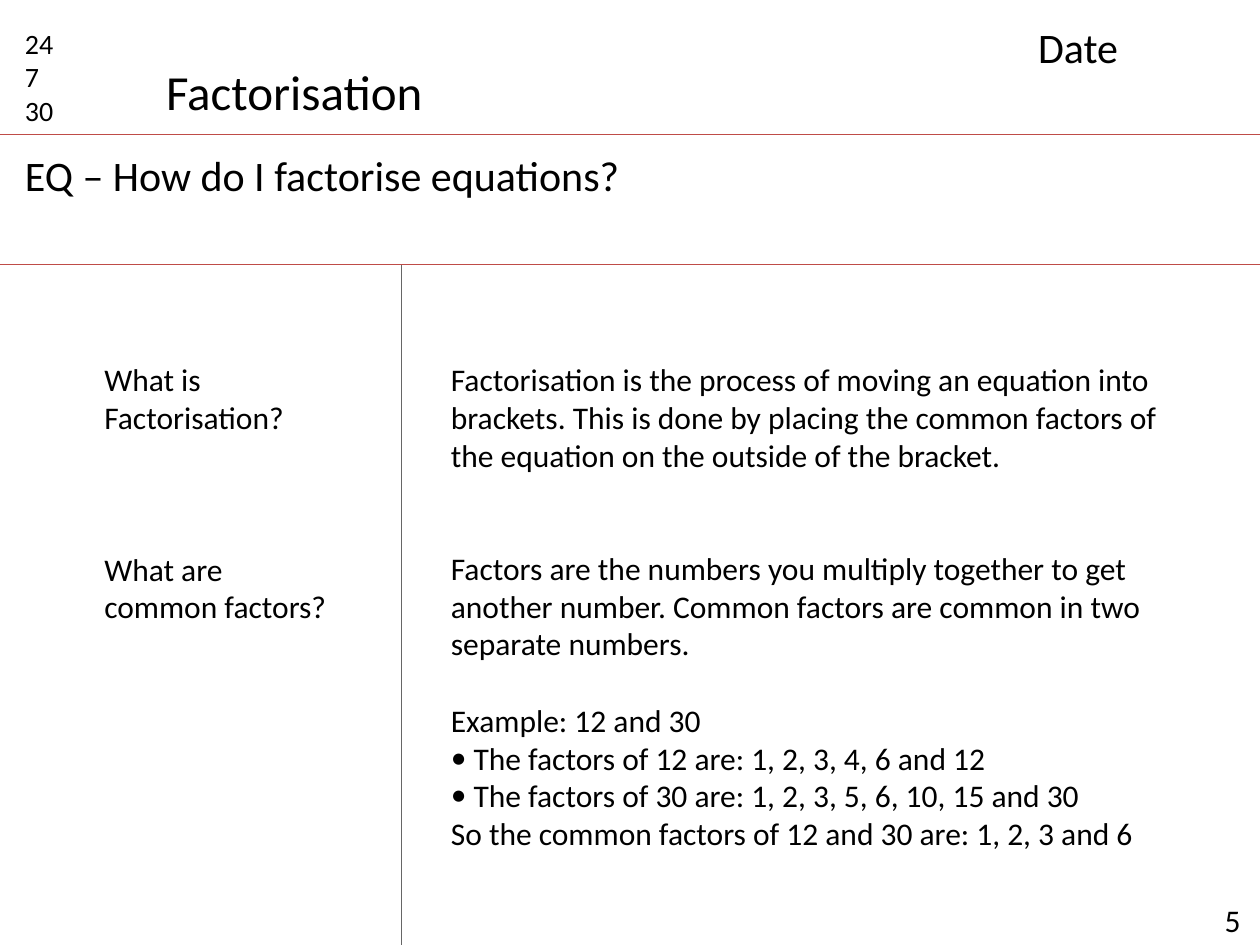
from lxml.etree import SubElement
from pptx import Presentation
from pptx.dml.color import RGBColor as RGB
from pptx.enum.shapes import MSO_CONNECTOR as Conn
from pptx.oxml.ns import qn
from pptx.util import Inches, Pt

THEME = dict(
    font="Calibri", ink=RGB(0, 0, 0), rule=RGB(0xBF, 0x4C, 0x48),
    divider=RGB(0x66, 0x66, 0x66), title=28, heading=24, body=18, small=16,
    leading=1.2, rule_width=0.75, divider_width=0.5,
)
W, H = 10, 7.5
TOP, MID, SPLIT = 1.07 / H, 2.1 / H, 3.19 / W
NOTES_TOP, NOTES_H = 2.81 / H, 4.04 / H

QUESTIONS = [("What is Factorisation?", 0, False),
             ("What are common factors?", 3, False)]
ANSWERS = [
    ("Factorisation is the process of moving an equation into brackets. "
     "This is done by placing the common factors of the equation on the "
     "outside of the bracket.", 0, False),
    ("Factors are the numbers you multiply together to get another number. "
     "Common factors are common in two separate numbers.", 2, False),
    ("Example: 12 and 30", 1, False),
    ("The factors of 12 are: 1, 2, 3, 4, 6 and 12", 0, True),
    ("The factors of 30 are: 1, 2, 3, 5, 6, 10, 15 and 30", 0, True),
    ("So the common factors of 12 and 30 are: 1, 2, 3 and 6", 0, False),
]
SCORES = [(n, 0, False) for n in ("24", "7", "30")]

TEXTS = [
    ((0.962, 7.1 / H, 0.038, 0.4 / H), "body", [("5", 0, False)]),
    ((0.01, 0.16 / H, 0.063, 0.91 / H), "small", SCORES),
    ((0.122, 0.44 / H, 0.226, 0.57 / H), "title", [("Factorisation", 0, False)]),
    ((0.814, 0.12 / H, 0.173, 0.5 / H), "heading", [("Date", 0, False)]),
    ((0.01, 1.14 / H, 0.943, 0.5 / H), "heading",
     [("EQ – How do I factorise equations?", 0, False)]),
    ((0.073, NOTES_TOP, 0.206, NOTES_H), "body", QUESTIONS),
    ((0.348, NOTES_TOP, 0.609, NOTES_H), "body", ANSWERS),
]
LINES = [((0, TOP, 1, TOP), "rule"), ((0, MID, 1, MID), "rule"),
         ((SPLIT, MID, SPLIT, 1), "divider")]


def scaled(box):
    return [Inches(share * side) for share, side in zip(box, (W, H, W, H))]


def add_bullet(p):
    pPr = p._p.get_or_add_pPr()
    indent = Inches(0.18)
    pPr.set("marL", str(indent))
    pPr.set("indent", str(-indent))
    SubElement(pPr, qn("a:buFont"), typeface=THEME["font"])
    SubElement(pPr, qn("a:buChar"), char="•")


def add_text(s, box, style, paragraphs):
    size = THEME[style]
    tf = s.shapes.add_textbox(*scaled(box)).text_frame
    tf.word_wrap = True
    for i, (text, gap_lines, bullet) in enumerate(paragraphs):
        p = tf.paragraphs[0] if i == 0 else tf.add_paragraph()
        if gap_lines:
            p.space_before = Pt(round(gap_lines * size * THEME["leading"]))
        if bullet:
            add_bullet(p)
        r = p.add_run()
        r.text = text
        for name, value in dict(name=THEME["font"], size=Pt(size)).items():
            setattr(r.font, name, value)
        r.font.color.rgb = THEME["ink"]


def add_line(s, ends, style):
    sp = s.shapes.add_connector(Conn.STRAIGHT, *scaled(ends))
    sp.line.color.rgb = THEME[style]
    sp.line.width = Pt(THEME[style + "_width"])
    SubElement(sp._element.spPr, qn("a:effectLst"))


def main():
    prs = Presentation()
    prs.slide_width, prs.slide_height = Inches(W), Inches(H)
    s = prs.slides.add_slide(prs.slide_layouts[6])
    for line in LINES:
        add_line(s, *line)
    for text in TEXTS:
        add_text(s, *text)
    prs.save("out.pptx")


if __name__ == "__main__":
    main()
